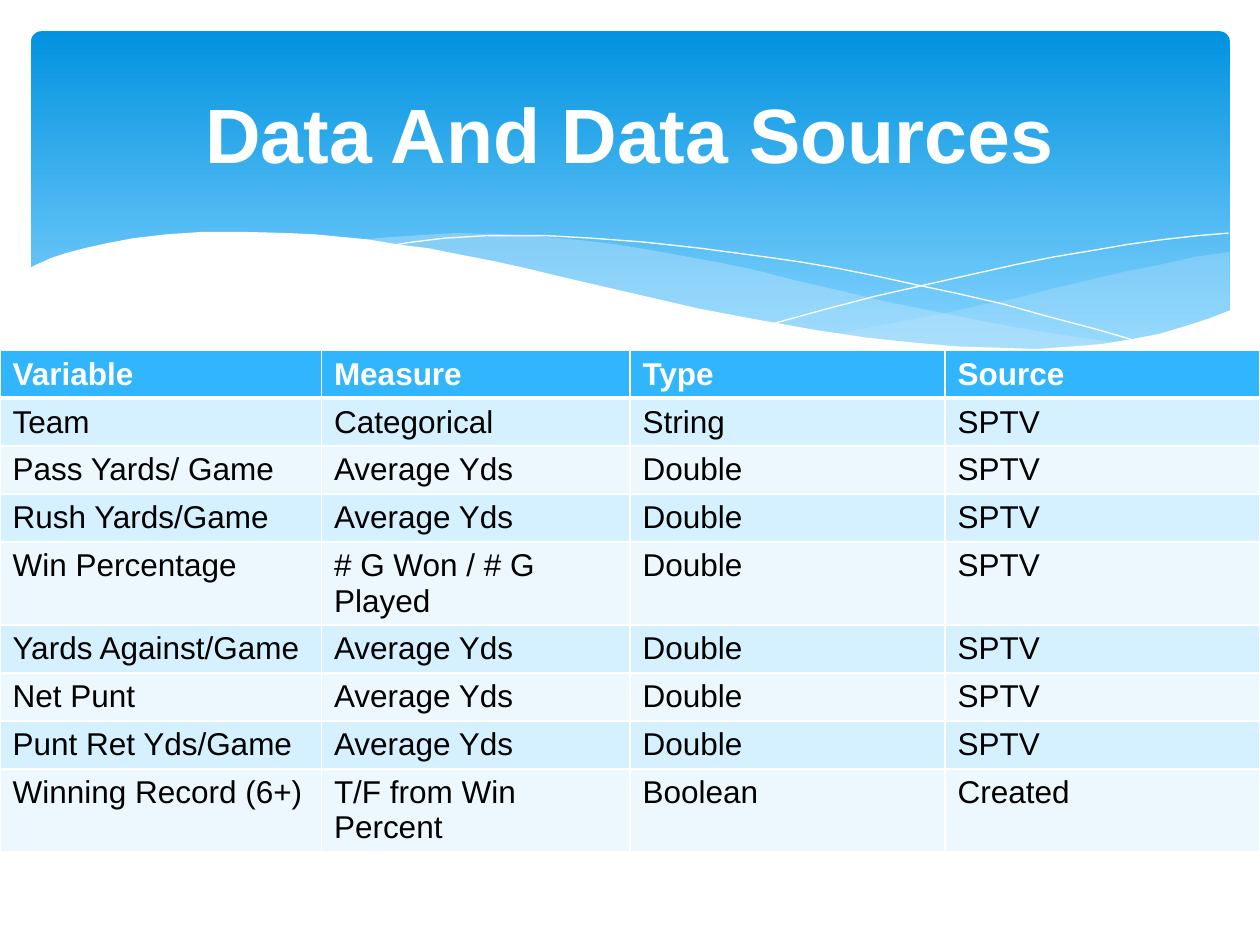
"""Build the "Data And Data Sources" slide: a wave banner above a table of variables."""
from lxml import etree
from pptx import Presentation
from pptx.dml.color import RGBColor
from pptx.enum import shapes, text
from pptx.oxml import ns
from pptx.util import Cm, Pt

WHITE = RGBColor(0xFF, 0xFF, 0xFF)
BLACK = RGBColor(0x00, 0x00, 0x00)
DEEP_BLUE = RGBColor(0x02, 0x93, 0xE0)
LIGHT_BLUE = RGBColor(0x81, 0xD2, 0xFE)
WAVE_BLUE = RGBColor(0xC6, 0xE7, 0xFC)
HEADER_BLUE = RGBColor(0x31, 0xB6, 0xFD)
BAND_DARK = RGBColor(0xD5, 0xF0, 0xFE)
BAND_PALE = RGBColor(0xEC, 0xF8, 0xFE)

WAVE_UNIT = Cm(0.0254)
RIGHT_WAVE = [
    (975, 200), (948, 204), (921, 210), (891, 216), (861, 223), (832, 230), (805, 237),
    (779, 242), (753, 248), (706, 257), (661, 265), (691, 269), (719, 272), (745, 275),
    (769, 277), (803, 278), (835, 277), (863, 275), (889, 272), (913, 267), (935, 262),
    (949, 257), (963, 252), (976, 247), (976, 200)]
MIDDLE_WAVE = [
    (893, 273), (866, 269), (837, 265), (807, 260), (775, 254), (741, 247), (706, 240),
    (668, 231), (629, 222), (598, 214), (569, 208), (541, 203), (514, 198), (489, 194),
    (465, 191), (442, 189), (420, 187), (399, 186), (361, 185), (328, 187), (299, 189),
    (286, 191), (323, 196), (362, 203), (404, 211), (449, 222), (491, 232), (530, 240),
    (566, 248), (601, 255), (634, 261), (665, 266), (695, 270), (722, 274), (748, 276),
    (773, 277), (807, 278), (838, 278), (867, 276), (893, 273)]
FALLING_LINE = [
    (309, 195), (328, 192), (353, 189), (387, 187), (433, 187), (469, 189), (510, 192),
    (556, 197), (608, 204), (636, 208), (665, 213), (695, 219), (727, 226), (760, 233),
    (795, 241), (831, 251), (869, 261), (907, 272)]
RISING_LINE = [
    (613, 257), (653, 246), (695, 235), (748, 223), (806, 210), (836, 204), (866, 199),
    (895, 194), (924, 190), (951, 187), (975, 185)]
WHITE_WAVE = [
    (977, 246), (959, 253), (940, 259), (920, 265), (899, 269), (875, 273), (850, 275),
    (823, 277), (793, 276), (761, 275), (726, 272), (688, 268), (648, 262), (603, 254),
    (555, 245), (503, 233), (447, 220), (418, 213), (391, 207), (365, 202), (340, 197),
    (316, 194), (292, 190), (271, 188), (250, 186), (230, 185), (193, 184), (161, 184),
    (132, 186), (106, 189), (85, 193), (67, 197), (52, 201), (40, 205), (29, 210),
    (23, 213), (23, 329), (977, 329)]

COLUMN_WIDTHS = [6.48, 6.22, 6.35, 6.35]
HEADINGS = ("Variable", "Measure", "Type", "Source")
YARDS = ("Average Yds", "Double", "SPTV")
VARIABLES = [
    ("Team", "Categorical", "String", "SPTV"),
    ("Pass Yards/ Game", *YARDS),
    ("Rush Yards/Game", *YARDS),
    ("Win Percentage", "# G Won / # G Played", "Double", "SPTV"),
    ("Yards Against/Game", *YARDS),
    ("Net Punt", *YARDS),
    ("Punt Ret Yds/Game", *YARDS),
    ("Winning Record (6+)", "T/F from Win Percent", "Boolean", "Created"),
]


class SlideBuilder:
    """Hold the style and the current slide."""

    def __init__(self, slide, font="Arial"):
        self.slide = slide
        self.font = font

    def add_words(self, paragraph, words, size, color, bold=False):
        """Add one formatted run."""
        run = paragraph.add_run()
        run.text = words
        run.font.name, run.font.size = self.font, Pt(size)
        run.font.bold, run.font.color.rgb = bold, color

    def banner(self, left, top, width, height):
        """Add the rounded gradient panel."""
        panel = self.slide.shapes.add_shape(
            shapes.MSO_SHAPE.ROUNDED_RECTANGLE, Cm(left), Cm(top), Cm(width), Cm(height))
        panel.adjustments[0] = 0.03
        panel.shadow.inherit = False
        panel.line.fill.background()
        panel.fill.gradient()
        panel.fill.gradient_angle = 270
        first, last = panel.fill.gradient_stops
        first.color.rgb, first.position = DEEP_BLUE, 0
        last.color.rgb, last.position = LIGHT_BLUE, 0.9

    def outline(self, group, points, closed):
        """Add a bare freeform to the group."""
        builder = group.shapes.build_freeform(*points[0], scale=WAVE_UNIT)
        builder.add_line_segments(points[1:], close=closed)
        curve = builder.convert_to_shape()
        curve.shadow.inherit = False
        return curve

    def wave(self, group, points, color, opacity=100):
        """Add a filled wave."""
        area = self.outline(group, points, True)
        area.line.fill.background()
        area.fill.solid()
        area.fill.fore_color.rgb = color
        if opacity < 100:
            tint = area.element.spPr.find(".//" + ns.qn("a:srgbClr"))
            etree.SubElement(tint, ns.qn("a:alpha"), val=str(opacity * 1000))

    def wave_line(self, group, points):
        """Add a thin white curve."""
        curve = self.outline(group, points, False)
        curve.fill.background()
        curve.line.color.rgb = WHITE
        curve.line.width = Pt(0.75)

    def borders(self, cell, top, bottom):
        """Draw the white borders of a cell."""
        properties = cell._tc.get_or_add_tcPr()
        for side, width in (("L", 1), ("R", 1), ("T", top), ("B", bottom)):
            edge = etree.SubElement(properties, ns.qn("a:ln" + side), w=str(Pt(width)))
            fill = etree.SubElement(edge, ns.qn("a:solidFill"))
            etree.SubElement(fill, ns.qn("a:srgbClr"), val=str(WHITE))

    def table(self, left, top, row_height, rows):
        """Add the banded table."""
        grid = self.slide.shapes.add_table(
            len(rows), len(COLUMN_WIDTHS), Cm(left), Cm(top),
            Cm(sum(COLUMN_WIDTHS)), Cm(row_height * len(rows))).table
        for column, width in zip(grid.columns, COLUMN_WIDTHS):
            column.width = Cm(width)
        for r, row in enumerate(rows):
            heading = r == 0
            band = HEADER_BLUE if heading else (BAND_PALE, BAND_DARK)[r % 2]
            for c, words in enumerate(row):
                cell = grid.cell(r, c)
                self.borders(cell, 3 if r == 1 else 1, 3 if heading else 1)
                cell.fill.solid()
                cell.fill.fore_color.rgb = band
                self.add_words(cell.text_frame.paragraphs[0], words, 18,
                               WHITE if heading else BLACK, heading)

    def title(self, words, left, top, width, height):
        """Fill the title placeholder and bring it to the front."""
        heading = self.slide.shapes.title
        heading.left, heading.top = Cm(left), Cm(top)
        heading.width, heading.height = Cm(width), Cm(height)
        frame = heading.text_frame
        frame.word_wrap = True
        frame.vertical_anchor = text.MSO_ANCHOR.MIDDLE
        frame.paragraphs[0].alignment = text.PP_ALIGN.CENTER
        self.add_words(frame.paragraphs[0], words, 44, WHITE, True)
        heading.element.getparent().append(heading.element)


def main():
    """Build and save the slide."""
    deck = Presentation()
    deck.slide_width, deck.slide_height = Cm(25.4), Cm(19.05)
    page = SlideBuilder(deck.slides.add_slide(deck.slide_layouts[5]))
    page.banner(0.63, 0.63, 24.16, 6.86)
    waves = page.slide.shapes.add_group_shape()
    page.wave(waves, RIGHT_WAVE, WAVE_BLUE, 29)
    page.wave(waves, MIDDLE_WAVE, WAVE_BLUE, 40)
    page.wave_line(waves, FALLING_LINE)
    page.wave_line(waves, RISING_LINE)
    page.wave(waves, WHITE_WAVE, WHITE)
    page.table(0, 7.06, 0.64, [HEADINGS, *VARIABLES])
    page.title("Data And Data Sources", 1.27, 0.94, 22.86, 3.48)
    deck.save("out.pptx")


if __name__ == "__main__":
    main()
